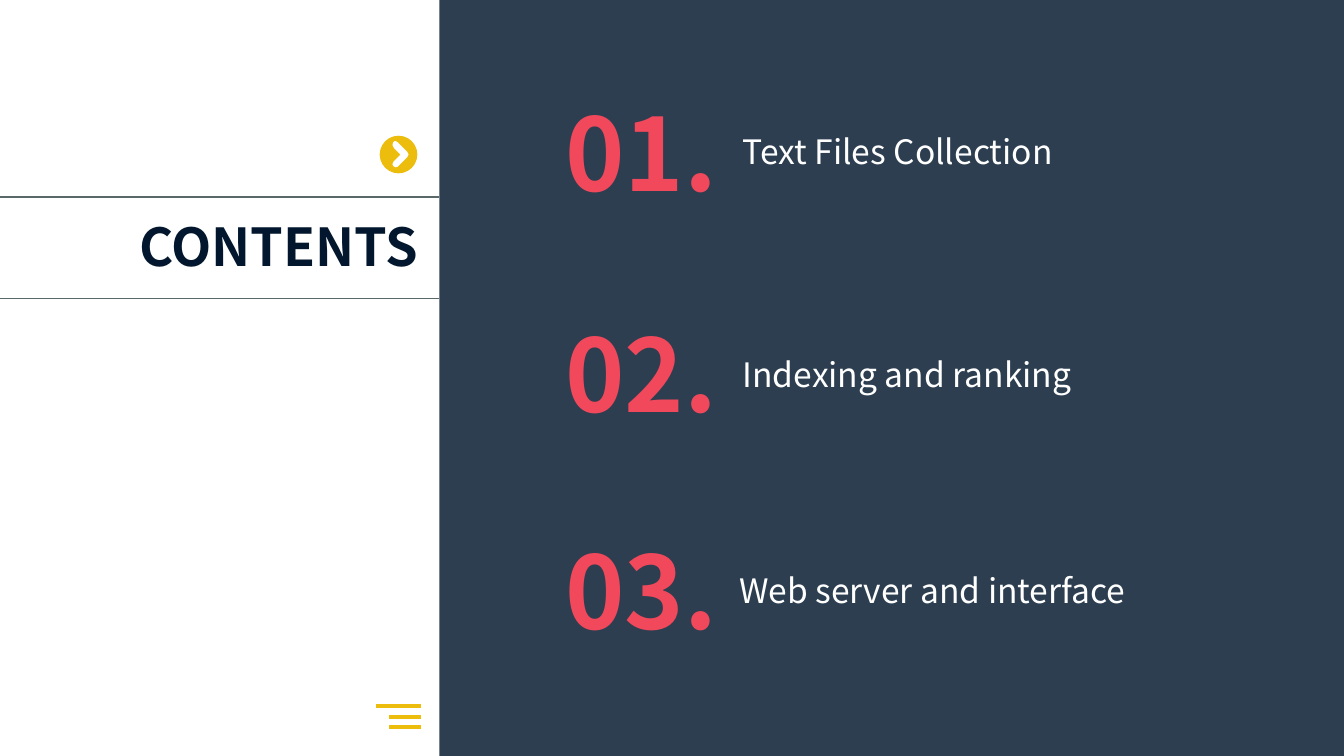
from lxml import etree
from pptx import Presentation
from pptx.dml.color import RGBColor
from pptx.enum.shapes import MSO_CONNECTOR, MSO_SHAPE
from pptx.enum.text import MSO_ANCHOR, MSO_AUTO_SIZE, PP_ALIGN
from pptx.oxml.ns import qn
from pptx.util import Pt

PX = 4572  # 200 px to the inch
FONT = "Noto Sans CJK SC"
WHITE, NAVY, INK = "FFFFFF", "2C3E50", "02172D"
YELLOW, RED, GREY = "ECBD0C", "F1485B", "596869"


def color(target, value):
    """Set a hex colour on a fill or a font."""
    if hasattr(target, "solid"):
        target.solid()
        target.fore_color.rgb = RGBColor.from_string(value)
    else:
        target.color.rgb = RGBColor.from_string(value)


def add_text(text, left, top, width, height, *, size, fill, bold=False,
             align=PP_ALIGN.LEFT, inset=(14, 8), grow=False):
    box = slide.shapes.add_textbox(left * PX, top * PX, width * PX, height * PX)
    frame = box.text_frame
    frame.word_wrap = True
    frame.vertical_anchor = MSO_ANCHOR.MIDDLE
    frame.auto_size = MSO_AUTO_SIZE.SHAPE_TO_FIT_TEXT if grow else MSO_AUTO_SIZE.NONE
    frame.margin_left = frame.margin_right = inset[0] * PX
    frame.margin_top = frame.margin_bottom = inset[1] * PX
    paragraph = frame.paragraphs[0]
    paragraph.alignment = align
    run = paragraph.add_run()
    run.text = text
    run.font.name, run.font.size, run.font.bold = FONT, Pt(size), bold
    color(run.font, fill)
    # East Asian typeface follows the Latin one
    etree.SubElement(run.font._element, qn("a:ea"), typeface=FONT)


presentation = Presentation()
presentation.slide_width = 2000 * PX
presentation.slide_height = 1125 * PX
slide = presentation.slides.add_slide(presentation.slide_layouts[6])
color(slide.background.fill, WHITE)

# Dark panel and yellow disc
for kind, left, top, width, height, fill in [
    (MSO_SHAPE.RECTANGLE, 654, 0, 1346, 1125, NAVY),
    (MSO_SHAPE.OVAL, 565, 202, 56, 56, YELLOW),
]:
    shape = slide.shapes.add_shape(kind, left * PX, top * PX, width * PX, height * PX)
    shape.shadow.inherit = False
    color(shape.fill, fill)
    shape.line.fill.background()

# Rounded arrow on the disc
arrow = [(592, 212), (589, 210), (587, 210), (585, 212), (584, 216), (586, 220),
         (596, 230), (586, 240), (584, 244), (585, 247), (589, 249), (592, 248),
         (606, 234), (608, 230), (606, 226)]
builder = slide.shapes.build_freeform(*arrow[0], scale=PX)
builder.add_line_segments(arrow[1:], close=True)
shape = builder.convert_to_shape()
shape.shadow.inherit = False
color(shape.fill, WHITE)
shape.line.fill.background()

# Title rules and the menu mark
for left, right, y, stroke, weight in [
    (0, 654, 293, GREY, 0.75),
    (0, 654, 444, GREY, 0.75),
    (560, 626, 1051, YELLOW, 2.25),
    (579, 626, 1067, YELLOW, 2.25),
    (579, 626, 1082, YELLOW, 2.25),
]:
    line = slide.shapes.add_connector(
        MSO_CONNECTOR.STRAIGHT, left * PX, y * PX, right * PX, y * PX)
    color(line.line.fill, stroke)
    line.line.width = Pt(weight)
    etree.SubElement(line._element.spPr, qn("a:effectLst"))

# Title
add_text("CONTENTS", 134, 307, 508, 116, size=28, fill=INK, bold=True,
         align=PP_ALIGN.RIGHT, inset=(20, 10))

# Numbered entries
entries = [
    ("Text Files Collection", 175, 1091, 187),
    ("Indexing and ranking", 504, 1091, 519),
    ("Web server and interface", 827, 1086, 840),
]
for number, (label, number_top, left, top) in enumerate(entries, start=1):
    add_text(f"{number:02}.", 827, number_top, 270, 100, size=54, fill=RED, bold=True)
    add_text(label, left, top, 762, 76, size=18, fill=WHITE, grow=True)

presentation.save("out.pptx")
